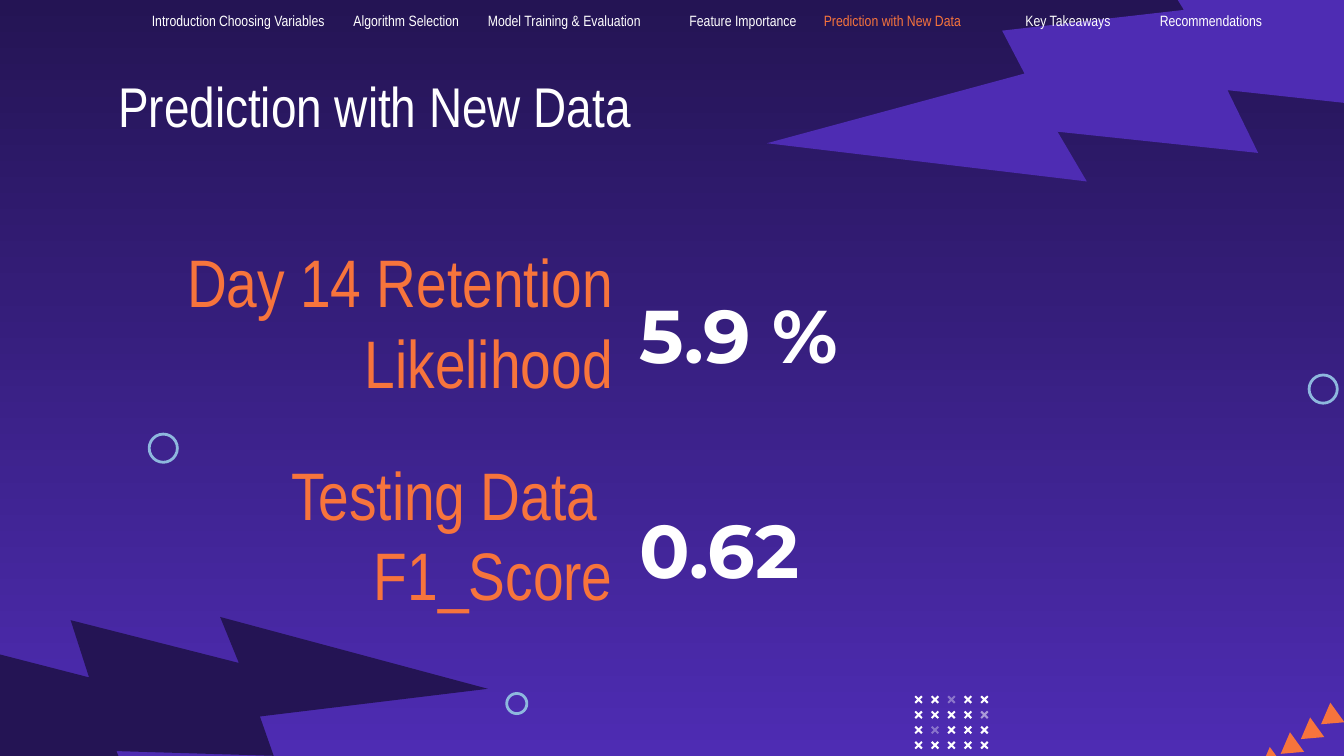
from lxml import etree
from pptx import Presentation
from pptx.dml.color import RGBColor
from pptx.enum import shapes, text
from pptx.oxml.ns import qn
from pptx.util import Inches, Pt

COLORS = {
    "night": "241454",
    "violet": "4E2CB3",
    "orange": "F7743C",
    "blue": "8EB8DE",
    "white": "FFFFFF",
}
KIND = shapes.MSO_SHAPE
ANCHOR = text.MSO_ANCHOR
ALIGN = text.PP_ALIGN


def add_shape(kind, left, top, width, height, rotation=0, fill=None, line=None):
    shape = slide.shapes.add_shape(
        kind, Inches(left), Inches(top), Inches(width), Inches(height))
    shape.shadow.inherit = False
    shape.rotation = rotation
    if fill:
        shape.fill.solid()
        shape.fill.fore_color.rgb = RGBColor.from_string(COLORS[fill])
    else:
        shape.fill.background()
    if line:
        shape.line.color.rgb = RGBColor.from_string(COLORS[line])
        shape.line.width = Pt(1.5)
    else:
        shape.line.fill.background()
    return shape


def write(shape, box, runs, font, size, margin=0.1, bold=False,
          anchor=ANCHOR.MIDDLE, align=ALIGN.LEFT):
    """Place a text shape and fill it with (text, color) runs; None breaks the line."""
    shape.left, shape.top, shape.width, shape.height = map(Inches, box)
    frame = shape.text_frame
    frame.word_wrap = True
    frame.auto_size = text.MSO_AUTO_SIZE.NONE
    frame.vertical_anchor = anchor
    frame.margin_left = frame.margin_right = Inches(margin)
    frame.margin_top = frame.margin_bottom = Inches(margin)
    paragraph = frame.paragraphs[0]
    paragraph.alignment = align
    paragraph.space_before = Pt(0)
    properties = paragraph._p.get_or_add_pPr()
    properties.set("marL", "0")
    properties.set("indent", "0")
    etree.SubElement(properties, qn("a:buNone"))
    for item in runs:
        if item is None:
            paragraph.add_line_break()
            continue
        run = paragraph.add_run()
        run.text, color = item
        run.font.name = font
        run.font.size = Pt(size)
        run.font.bold = bold
        run.font.color.rgb = RGBColor.from_string(COLORS[color])
    return paragraph


presentation = Presentation()
presentation.slide_width = Inches(10)
presentation.slide_height = Inches(5.625)
slide = presentation.slides.add_slide(
    presentation.slide_layouts.get_by_name("Comparison"))

# Background
background = slide.background.fill
background.gradient()
background.gradient_angle = 270
for stop, color in zip(background.gradient_stops, ("night", "violet")):
    stop.color.rgb = RGBColor.from_string(COLORS[color])

for left, top, size, rotation, color in (
        (6.48, -1.26, 3.87, 36.8, "violet"), (-0.39, 3.46, 3.33, 225, "night")):
    bolt = add_shape(KIND.LIGHTNING_BOLT, left, top, size, size, rotation, color)
    bolt._element.spPr.find(qn("a:xfrm")).set("flipH", "1")

# Title and navigation
write(slide.shapes.title, (0.78, 0.43, 8.43, 0.64),
      [("Prediction with New Data", "white")], "Arial Narrow", 30,
      anchor=ANCHOR.TOP)

navigation = slide.shapes.add_textbox(0, 0, 0, 0)
paragraph = write(
    navigation, (1.13, 0.08, 8.84, 0.15),
    [("Introduction\tChoosing Variables\tAlgorithm Selection\t"
      "Model Training & Evaluation\tFeature Importance\t", "white"),
     ("Prediction with New Data", "orange"),
     ("\tKey Takeaways\tRecommendations", "white")],
    "Arial Narrow", 8, margin=0)
tabs = etree.SubElement(paragraph._p.get_or_add_pPr(), qn("a:tabLst"))
for position in (0.68, 1.66, 2.65, 3.99, 5.01, 6.23, 7.07):
    etree.SubElement(tabs, qn("a:tab"), pos=str(Inches(position)), algn="l")

# Results: label on the left, value on the right
results = (
    (1, 2, 1.71, 2.11, [("Day 14 Retention Likelihood", "orange")], "5.9 %"),
    (3, 4, 3.29, 3.71, [("Testing Data ", "orange"), None, ("F1_Score", "orange")],
     "0.62"),
)
placeholders = {item.placeholder_format.idx: item for item in slide.placeholders}
for label_id, value_id, label_top, value_top, label, value in results:
    write(placeholders[label_id], (0.78, label_top, 3.88, 1.36), label,
          "Arial Narrow", 36, align=ALIGN.RIGHT)
    write(placeholders[value_id], (4.66, value_top, 2.48, 0.75),
          [(value, "white")], "Montserrat", 40, bold=True)

# Decorations
for step in range(4):
    add_shape(KIND.ISOSCELES_TRIANGLE, 9.8 - 0.15 * step, 5.27 + 0.11 * step,
              0.18, 0.15, 234.2, "orange")

for left, top, size in ((3.77, 5.16, 0.15), (9.74, 2.79, 0.21), (1.11, 3.23, 0.21)):
    add_shape(KIND.OVAL, left, top, size, size, line="blue")

faded = {(0, 2): 36, (1, 4): 53, (2, 1): 34}  # opacity in percent
for row in range(4):
    for column in range(5):
        cross = add_shape(KIND.CROSS, 6.8 + 0.49 * column / 4, 5.17 + 0.34 * row / 3,
                          0.07, 0.07, 315, "white")
        cross.adjustments[0] = 0.39
        if (row, column) in faded:
            color = cross._element.spPr.find(qn("a:solidFill"))[0]
            etree.SubElement(color, qn("a:alpha"),
                             val=str(faded[row, column] * 1000))

presentation.save("out.pptx")
